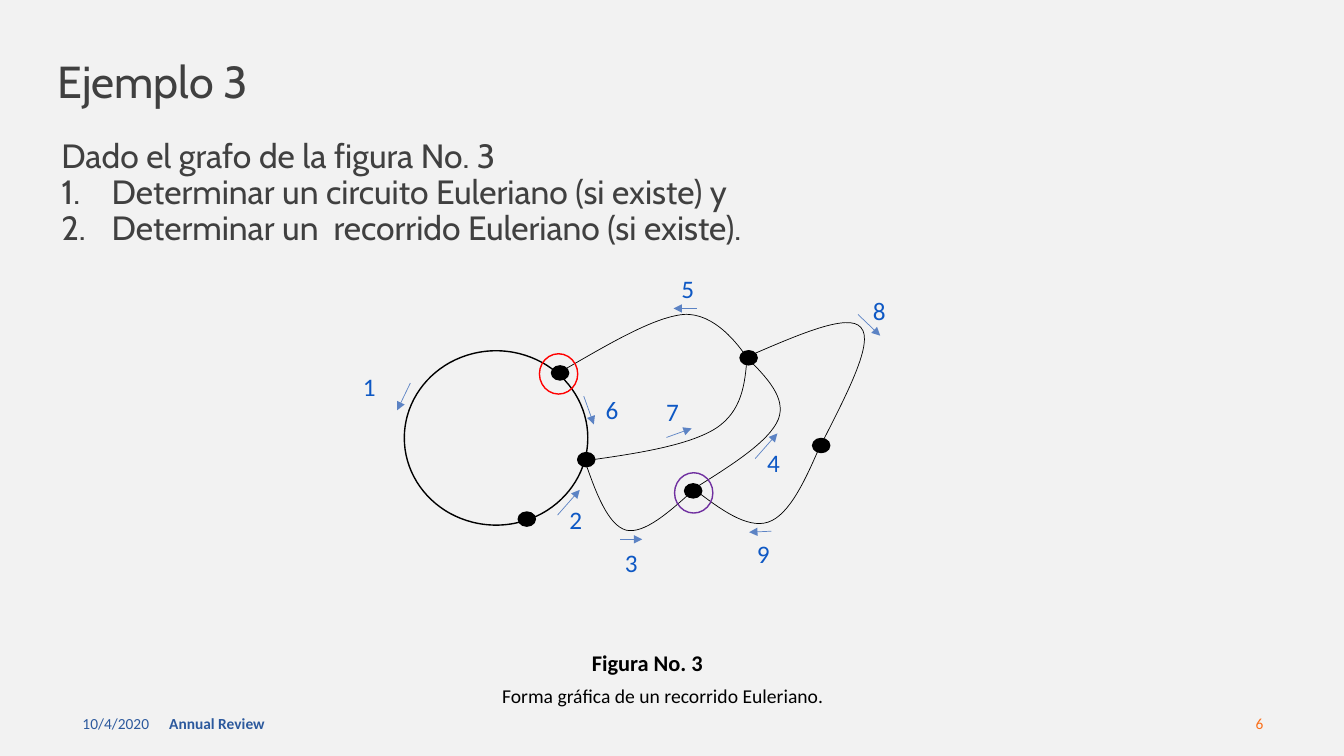
import pptx
import pptx.util
import pptx.dml.color
import pptx.enum.shapes
import pptx.enum.text
import pptx.oxml.ns
import pptx.oxml.xmlchemy
from lxml import etree

Inches = pptx.util.Inches
qn = pptx.oxml.ns.qn
ALIGN = pptx.enum.text.PP_ALIGN
ANCHOR = pptx.enum.text.MSO_ANCHOR


def rgb(value):
    return pptx.dml.color.RGBColor.from_string(value)


class GraphSlide:
    ink = "000000"
    grey = "404040"
    footer = "2C599D"
    arrow_blue = "5C83C4"
    label_blue = "0E58C4"

    def __init__(self, slide, background):
        self.slide = slide
        slide.background.fill.solid()
        slide.background.fill.fore_color.rgb = rgb(background)

    def text(self, box, lines, color, size, name="Calibri", bold=False,
             align=ALIGN.LEFT, anchor=ANCHOR.TOP, spacing=None, numbered_from=None):
        frame = self.slide.shapes.add_textbox(*map(Inches, box)).text_frame
        frame.word_wrap = True
        frame.vertical_anchor = anchor
        for index, line in enumerate(lines):
            paragraph = frame.paragraphs[0] if index == 0 else frame.add_paragraph()
            for key, value in {"alignment": align, "line_spacing": spacing}.items():
                setattr(paragraph, key, value)
            if numbered_from is not None and index >= numbered_from:
                self.number(paragraph)
            run = paragraph.add_run()
            run.text = line
            style = {"name": name, "size": pptx.util.Pt(size), "bold": bold}
            for key, value in style.items():
                setattr(run.font, key, value)
            run.font.color.rgb = rgb(color)

    def number(self, paragraph):
        properties = paragraph._p.get_or_add_pPr()
        properties.set("marL", str(Inches(0.5)))
        properties.set("indent", str(-Inches(0.5)))
        etree.SubElement(properties, qn("a:buFont"), typeface="+mj-lt")
        etree.SubElement(properties, qn("a:buAutoNum"), type="arabicPeriod")

    def outline(self, shape, color, width):
        shape.line.color.rgb = rgb(color)
        shape.line.width = pptx.util.Pt(width)

    def ellipse(self, box, color, fill=None):
        oval = self.slide.shapes.add_shape(
            pptx.enum.shapes.MSO_SHAPE.OVAL, *map(Inches, box))
        oval.shadow.inherit = False
        if fill:
            oval.fill.solid()
            oval.fill.fore_color.rgb = rgb(fill)
        else:
            oval.fill.background()
        self.outline(oval, color, 1)

    def curve(self, points):
        start, *rest = [tuple(map(Inches, point)) for point in points]
        builder = self.slide.shapes.build_freeform(*start)
        builder.add_line_segments(rest, close=False)
        edge = builder.convert_to_shape()
        edge.shadow.inherit = False
        edge.fill.background()
        self.outline(edge, self.ink, 0.5)
        segments = list(edge.element.iter(qn("a:lnTo")))
        for first in range(0, len(segments), 3):
            bezier = etree.Element(qn("a:cubicBezTo"))
            segments[first].addprevious(bezier)
            for segment in segments[first:first + 3]:
                bezier.append(segment[0])
                segment.getparent().remove(segment)

    def arrow(self, tail, tip):
        arrow = self.slide.shapes.add_connector(
            pptx.enum.shapes.MSO_CONNECTOR.STRAIGHT, *map(Inches, tail + tip))
        self.outline(arrow, self.arrow_blue, 0.5)
        properties = arrow.element.spPr
        etree.SubElement(properties.find(qn("a:ln")), qn("a:tailEnd"), type="triangle")
        etree.SubElement(properties, qn("a:effectLst"))


EDGES = [
    [(5.54, 3.7), (6.01, 3.43), (6.47, 3.15), (6.78, 3.12),
     (7.09, 3.1), (7.33, 3.43), (7.41, 3.55)],
    [(5.8, 4.57), (5.91, 4.89), (6.03, 5.21), (6.21, 5.26),
     (6.39, 5.3), (6.64, 5.08), (6.89, 4.85)],
    [(6.88, 4.85), (7.14, 5.05), (7.41, 5.25), (7.62, 5.18),
     (7.83, 5.11), (7.99, 4.76), (8.14, 4.41)],
    [(5.81, 4.57), (6.32, 4.5), (6.83, 4.42), (7.1, 4.25),
     (7.36, 4.08), (7.39, 3.81), (7.41, 3.54)],
    [(6.88, 4.85), (7.25, 4.62), (7.63, 4.38), (7.72, 4.16),
     (7.8, 3.95), (7.61, 3.75), (7.41, 3.55)],
    [(7.41, 3.54), (7.92, 3.32), (8.42, 3.1), (8.54, 3.25),
     (8.67, 3.39), (8.41, 3.89), (8.15, 4.4)],
]
NODES = [(5.73, 4.49), (5.47, 3.63), (5.14, 5.08),
         (7.34, 3.48), (6.79, 4.8), (8.06, 4.35)]
STEPS = [
    ((4.07, 3.8), (3.94, 4.07), (3.5, 3.63)),
    ((5.53, 5.11), (5.75, 4.86), (5.55, 4.95)),
    ((6.15, 5.35), (6.37, 5.35), (6.1, 5.38)),
    ((7.49, 4.55), (7.71, 4.3), (7.51, 4.39)),
    ((6.91, 3.06), (6.68, 3.06), (6.66, 2.66)),
    ((5.79, 3.93), (5.89, 4.21), (5.91, 3.86)),
    ((6.61, 4.34), (6.86, 4.25), (6.51, 3.88)),
    ((8.51, 3.12), (8.73, 3.33), (8.56, 2.88)),
    ((7.65, 5.27), (7.43, 5.28), (7.41, 5.29)),
]


def main():
    deck = pptx.Presentation()
    deck.slide_width = Inches(13.33)
    deck.slide_height = Inches(7.5)
    page = GraphSlide(deck.slides.add_slide(deck.slide_layouts[6]), "F2F2F2")

    middle = {"anchor": ANCHOR.MIDDLE}
    page.text((0.72, 6.98, 3, 0.4), ["10/4/2020"], page.footer, 11, **middle)
    page.text((1.58, 6.98, 4.5, 0.4), ["Annual Review"], page.footer, 11,
              bold=True, **middle)
    page.text((9.63, 6.98, 3, 0.4), ["6"], "FA6F1A", 11, align=ALIGN.RIGHT, **middle)

    heading = {"name": "Cabin", "spacing": 0.9, **middle}
    page.text((0.47, 0.45, 12.4, 0.77), ["Ejemplo 3"], page.grey, 32, **heading)
    page.text((0.51, 1.1, 10.29, 1.64), [
        "Dado el grafo de la figura No. 3",
        "Determinar un circuito Euleriano (si existe) y",
        "Determinar un  recorrido Euleriano (si existe).",
    ], page.grey, 24, numbered_from=1, **heading)

    page.text((4.75, 6.39, 3.34, 0.37), ["Figura No. 3"], page.ink, 16,
              bold=True, align=ALIGN.CENTER)
    page.text((4.61, 6.74, 3.93, 0.34), ["Forma gráfica de un recorrido Euleriano."],
              page.ink, 14, align=ALIGN.CENTER)

    page.ellipse((4.01, 3.48, 1.82, 1.73), page.ink)
    for edge in EDGES:
        page.curve(edge)
    for node in NODES:
        page.ellipse(node + (0.17, 0.14), page.ink, page.ink)
    page.ellipse((5.35, 3.51, 0.38, 0.4), "FF0000")
    for step, (tail, tip, label) in enumerate(STEPS, 1):
        page.arrow(tail, tip)
        width = 0.46 if step == 1 else 0.24
        page.text(label + (width, 0.4), [str(step)], page.label_blue, 18)
    page.ellipse((6.69, 4.69, 0.38, 0.4), "7030A0")

    deck.save("out.pptx")


if __name__ == "__main__":
    main()
